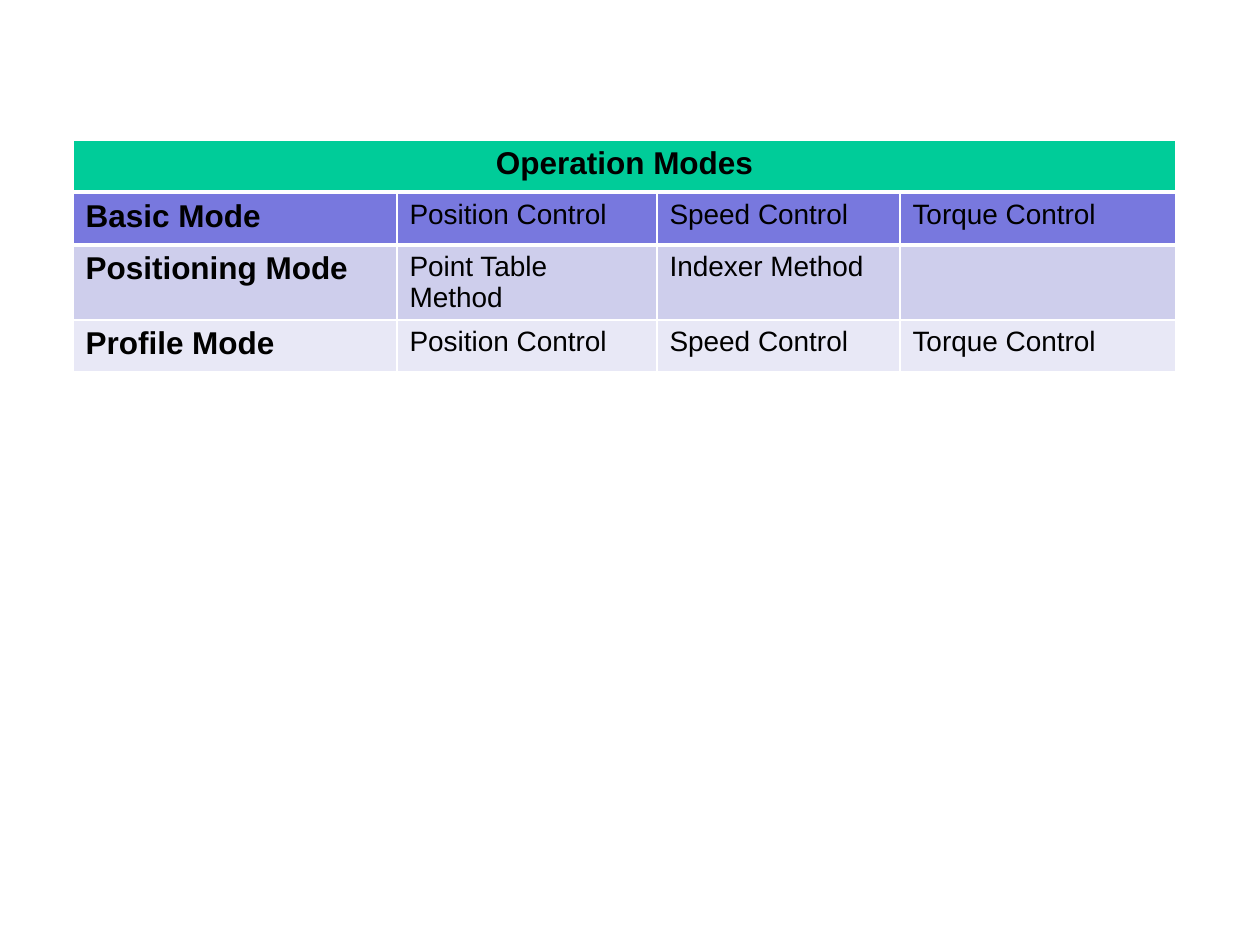
import pptx
import pptx.util
import pptx.dml.color
import pptx.enum.text
import pptx.oxml.ns
from lxml import etree

HUES = {
    "ink": "000000",
    "rule": "FFFFFF",
    "title": "00CC99",
    "basic": "7878DE",
    "dark": "CECEEC",
    "light": "E8E8F6",
}
FONT = "Arial"
SCALE = 914400 / 126  # EMU in one px


def emu(px):
    return pptx.util.Emu(round(px * SCALE))


def color(name):
    return pptx.dml.color.RGBColor.from_string(HUES[name])


def write(frame, text, size=16, bold=False, center=False):
    para = frame.paragraphs[0]
    if center:
        para.alignment = pptx.enum.text.PP_ALIGN.CENTER
    para.font.size = pptx.util.Pt(size)
    if text:
        run = para.add_run()
        run.text = text
        run.font.name = FONT
        run.font.size = pptx.util.Pt(size)
        run.font.bold = bold
        run.font.color.rgb = color("ink")


class Deck:
    def __init__(self, wide, high):
        self.show = pptx.Presentation()
        self.show.slide_width = emu(wide)
        self.show.slide_height = emu(high)
        self.slide = self.show.slides.add_slide(self.show.slide_layouts[6])

    def border(self, cell, base):
        """Rule all four sides, with its own width in points at the base."""
        props = cell._tc.get_or_add_tcPr()
        for side, width in (("L", 1), ("R", 1), ("T", 1), ("B", base)):
            line = etree.SubElement(props, pptx.oxml.ns.qn("a:ln" + side),
                                    w=str(pptx.util.Pt(width)))
            fill = etree.SubElement(line, pptx.oxml.ns.qn("a:solidFill"))
            etree.SubElement(fill, pptx.oxml.ns.qn("a:srgbClr"),
                             val=HUES["rule"])

    def table(self, left, top, cols, high, rows, center=False):
        """Each row is its fill and its texts; the first has a thick base."""
        frame = self.slide.shapes.add_table(
            len(rows), len(cols), emu(left), emu(top),
            emu(sum(cols)), emu(high * len(rows)))
        grid = frame.table
        grid.first_row = grid.horz_banding = False
        for col, wide in zip(grid.columns, cols):
            col.width = emu(wide)
        for r, (fill, texts) in enumerate(rows):
            grid.rows[r].height = emu(high)
            for c, text in enumerate(texts):
                cell = grid.cell(r, c)
                self.border(cell, 3 if r == 0 else 1)
                cell.fill.solid()
                cell.fill.fore_color.rgb = color(fill)
                write(cell.text_frame, text, size=18 if c == 0 else 16,
                      bold=c == 0, center=center)

    def save(self):
        self.show.save("out.pptx")


def main():
    deck = Deck(1260, 945)
    left, high = 73, 52
    cols = [324, 260, 243, 276]
    kinds = ["Position Control", "Speed Control", "Torque Control"]

    # Modes and their methods
    deck.table(left, 193, cols, high, [
        ("basic", ["Basic Mode", *kinds]),
        ("dark", ["Positioning Mode", "Point Table Method",
                  "Indexer Method", ""]),
        ("light", ["Profile Mode", *kinds]),
    ])

    # Title bar
    deck.table(left, 140, [sum(cols)], high,
               [("title", ["Operation Modes"])], center=True)

    deck.save()


if __name__ == "__main__":
    main()
